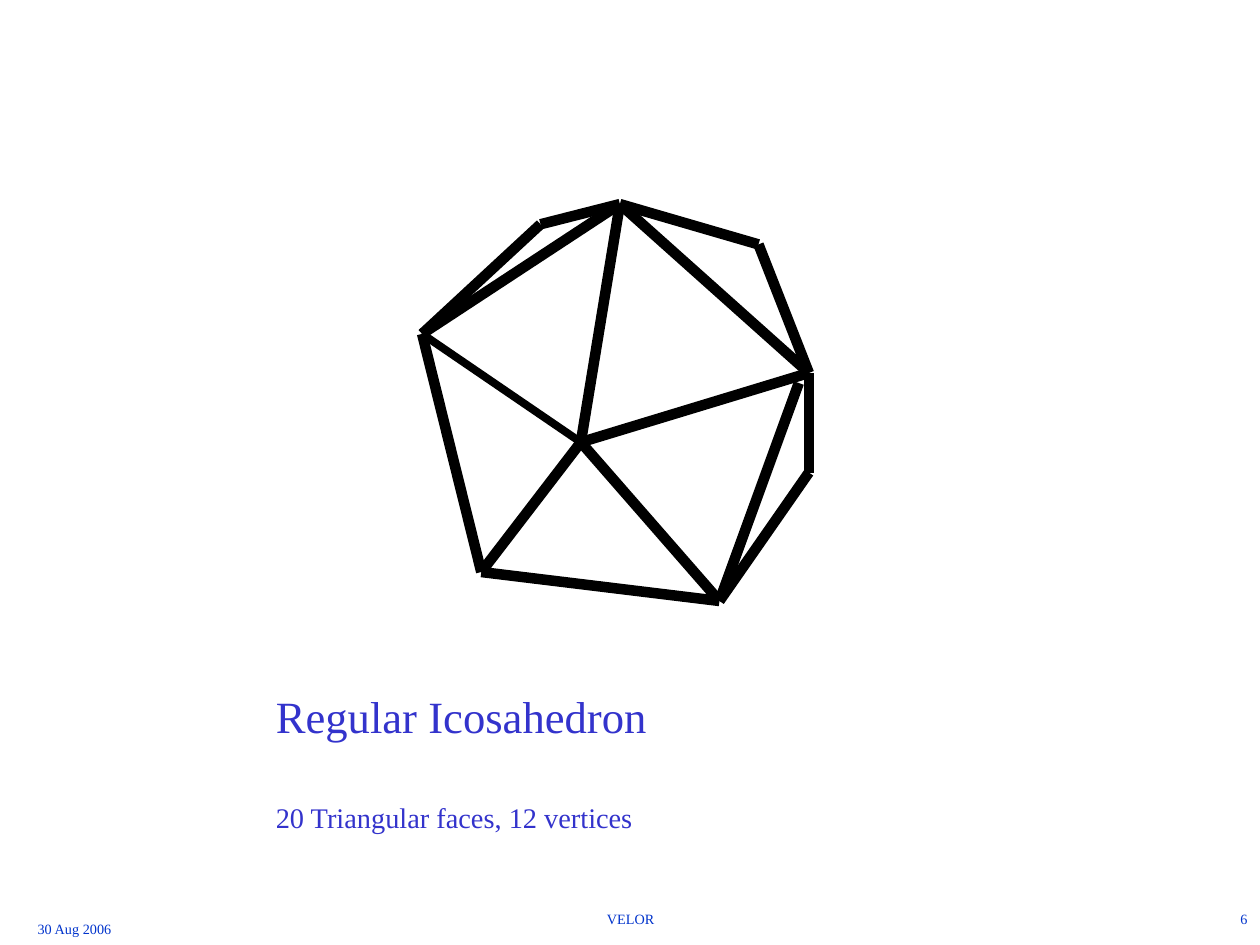
from lxml import etree
from pptx import Presentation
from pptx.dml.color import RGBColor
from pptx.enum.shapes import MSO_CONNECTOR
from pptx.enum.text import MSO_ANCHOR, PP_ALIGN
from pptx.oxml.ns import qn
from pptx.util import Inches, Pt

FONT = "Times New Roman"
BLACK = RGBColor(0x00, 0x00, 0x00)
FOOTER_BLUE = RGBColor(0x00, 0x33, 0xCC)
TITLE_BLUE = RGBColor(0x33, 0x33, 0xCC)

VERTICES = {
    "center": (4.61, 3.51),
    "top": (4.92, 1.62),
    "upper_left": (4.29, 1.78),
    "left": (3.35, 2.65),
    "bottom_left": (3.82, 4.54),
    "bottom": (5.71, 4.77),
    "lower_right": (6.42, 3.75),
    "right": (6.42, 2.96),
    "right_inner": (6.34, 3.04),
    "upper_right": (6.02, 1.94),
}
EDGES = [
    ("center", "top"),
    ("center", "right"),
    ("top", "right"),
    ("top", "upper_right"),
    ("upper_right", "right"),
    ("right_inner", "bottom"),
    ("right", "lower_right"),
    ("lower_right", "bottom"),
    ("bottom_left", "bottom"),
    ("left", "bottom_left"),
    ("upper_left", "left"),
    ("upper_left", "top"),
    ("top", "left"),
    ("bottom_left", "center"),
    ("center", "bottom"),
]


def add_text(s, box, lines, color, inset, align=PP_ALIGN.LEFT):
    tf = s.shapes.add_textbox(*map(Inches, box)).text_frame
    tf.word_wrap = True
    tf.vertical_anchor = MSO_ANCHOR.TOP
    tf.margin_top = Inches(inset)
    tf.margin_bottom = 0
    for i, (text, size, before) in enumerate(lines):
        p = tf.add_paragraph() if i else tf.paragraphs[0]
        p.text = text
        p.alignment = align
        p.space_before = Pt(before)
        p.font.name = FONT
        p.font.size = Pt(size)
        p.font.color.rgb = color


def add_edge(s, start, end, width=6):
    points = map(Inches, VERTICES[start] + VERTICES[end])
    edge = s.shapes.add_connector(MSO_CONNECTOR.STRAIGHT, *points)
    edge.line.color.rgb = BLACK
    edge.line.width = Pt(width)
    etree.SubElement(edge._element.spPr, qn("a:effectLst"))


def add_footer(s, text, box, align):
    add_text(s, box, [(text, 8.1, 0)], FOOTER_BLUE, 0.2, align)


def main():
    prs = Presentation()
    prs.slide_width, prs.slide_height = Inches(10), Inches(7.5)
    s = prs.slides.add_slide(prs.slide_layouts[6])

    add_footer(s, "30 Aug 2006", (0.2, 7.14, 2.08, 0.36), PP_ALIGN.LEFT)
    add_footer(s, "VELOR", (3.42, 7.06, 3.17, 0.28), PP_ALIGN.CENTER)
    add_footer(s, "6", (7.17, 7.06, 2.83, 0.28), PP_ALIGN.RIGHT)

    add_edge(s, "left", "center", 4.5)
    for start, end in EDGES:
        add_edge(s, start, end)

    lines = [("Regular Icosahedron", 25.5, 0),
             ("20 Triangular faces, 12 vertices", 16.2, 32.8)]
    add_text(s, (2.09, 5.01, 5.35, 1.53), lines, TITLE_BLUE, 0.46)

    prs.save("out.pptx")


main()
